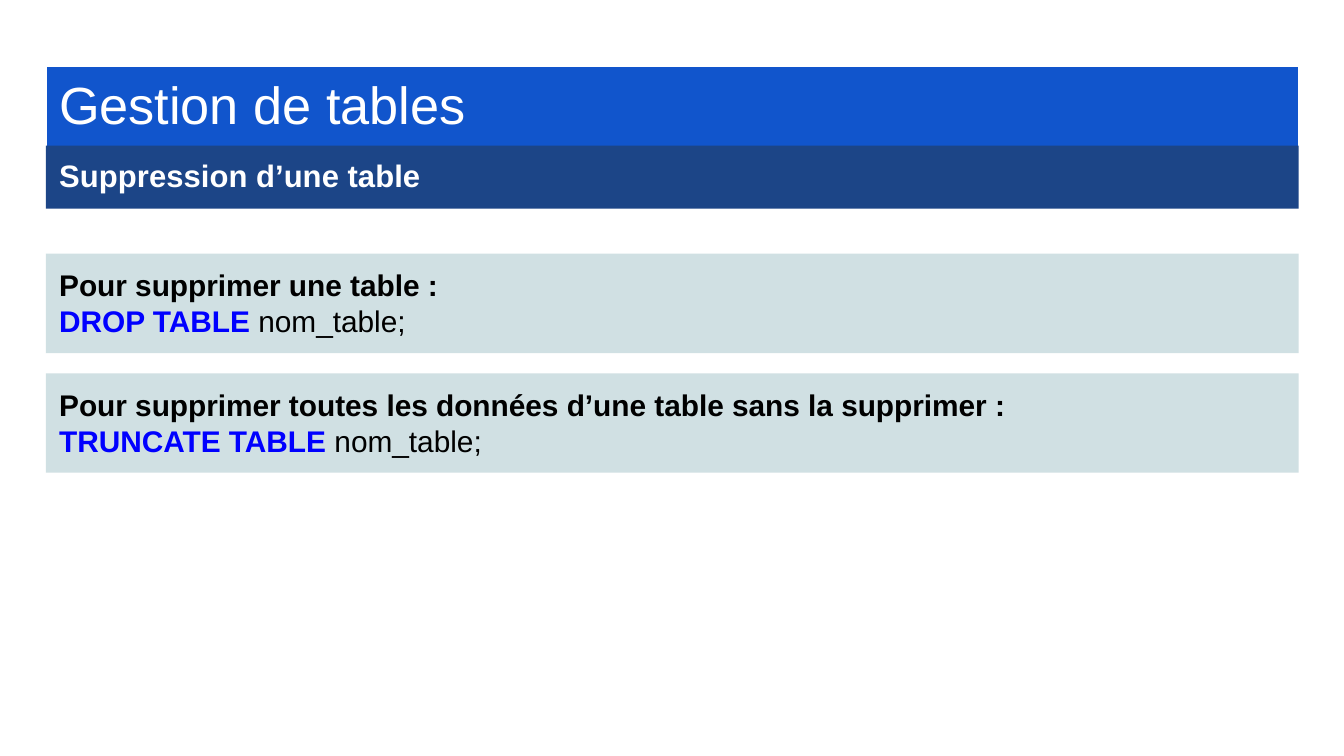
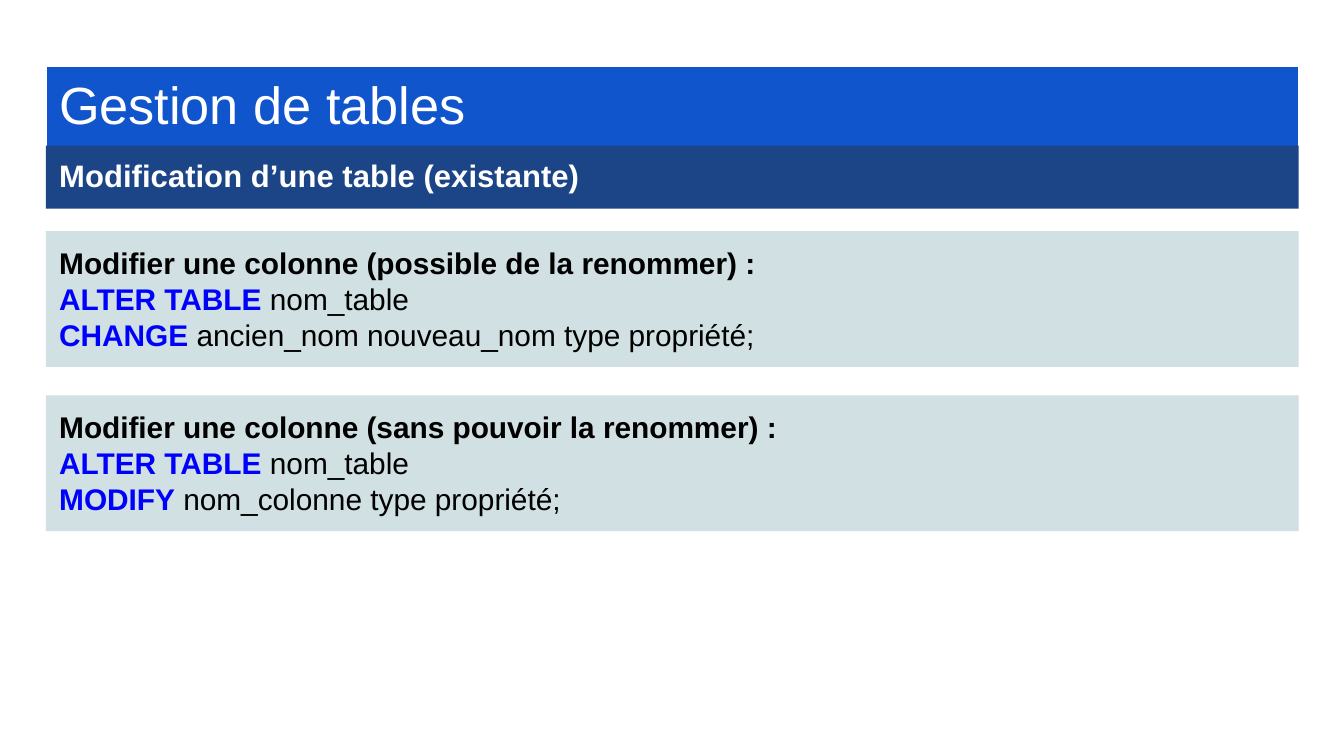
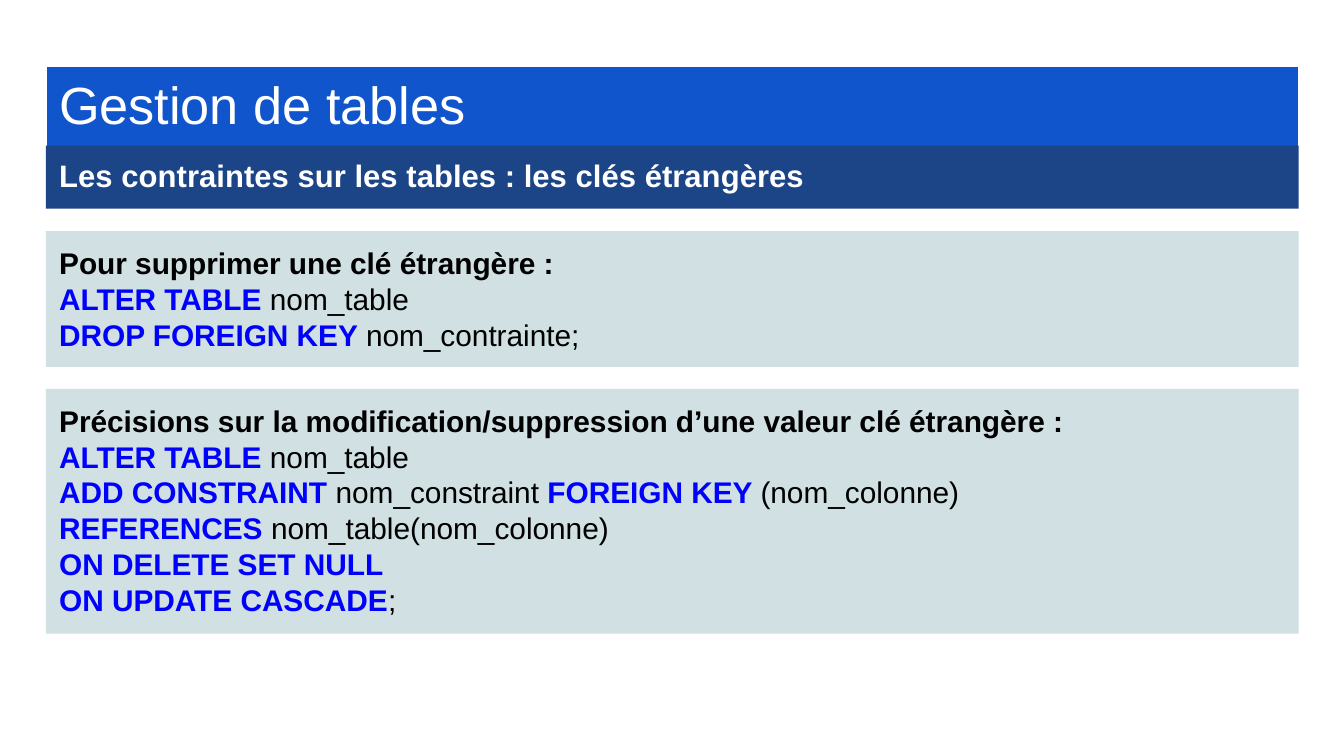
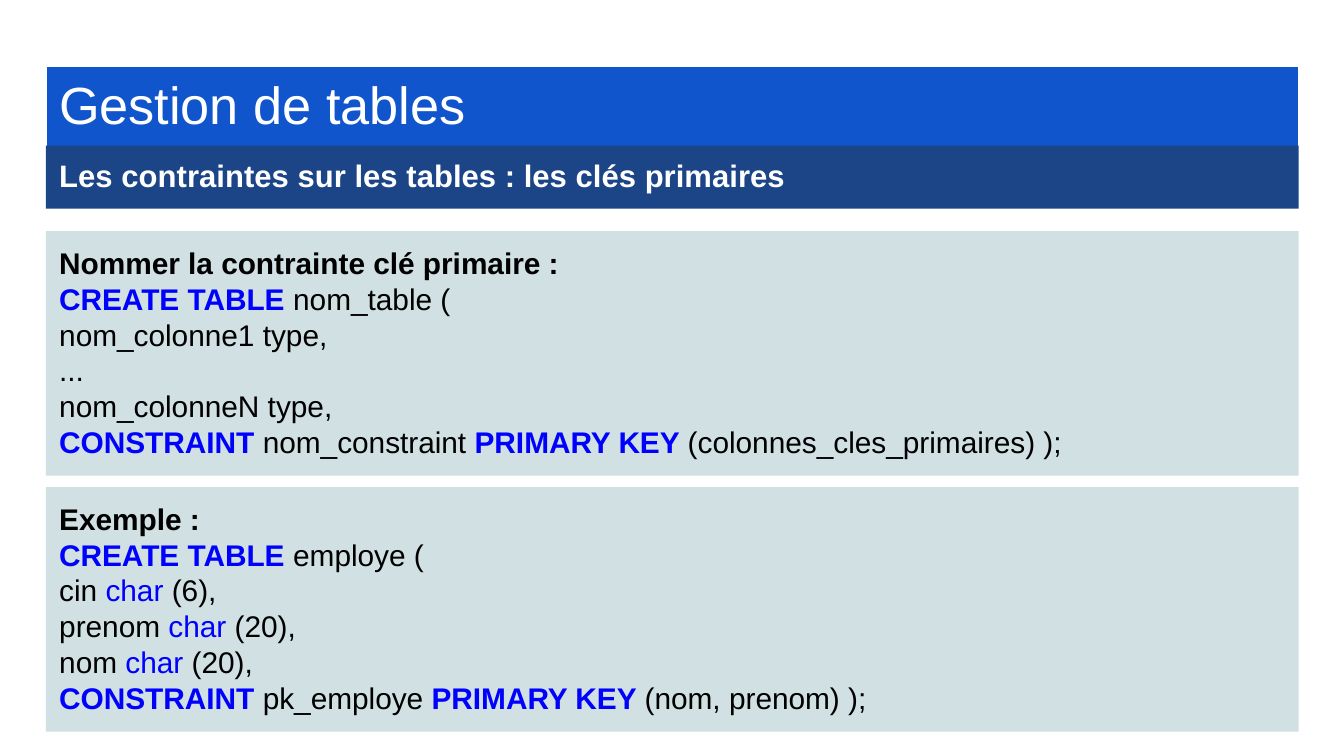
from pptx import Presentation
from pptx.dml.color import RGBColor
from pptx.enum.shapes import MSO_SHAPE
from pptx.enum.text import MSO_ANCHOR, MSO_AUTO_SIZE, PP_ALIGN
from pptx.util import Inches, Pt

RECT = MSO_SHAPE.RECTANGLE
TOP = MSO_ANCHOR.TOP
LEFT = PP_ALIGN.LEFT
GROW = MSO_AUTO_SIZE.SHAPE_TO_FIT_TEXT

HEX = {
    "title": "1155CC",
    "topic": "1C4587",
    "panel": "D0E0E3",
    "white": "FFFFFF",
    "black": "000000",
    "code": "0000FF",
}
TINT = {name: RGBColor.from_string(code) for name, code in HEX.items()}
FONT = "Arial"

# A 16:9 slide on a square grid: 100 columns, rows of the same size
WIDE = Inches(10)
HIGH = WIDE * 9 // 16
UNIT = WIDE / 100
EDGE = 3.42
SPAN = 93.2
PAD = 1
LINE = 2.7

# Each slide: topic, then panels as (top row, lines of text).
# "|" parts a line into runs: capitals are keywords, "char" is a type.
SLIDES = [
    ("Suppression d’une table", [
        (18.88, ["Pour supprimer une table :",
                 "DROP TABLE| nom_table;"]),
        (27.78, ["Pour supprimer toutes les données d’une table sans la supprimer :",
                 "TRUNCATE TABLE |nom_table;"]),
    ]),
    ("Modification d’une table (existante)", [
        (17.2, ["Modifier une colonne (possible de la renommer) :",
                "ALTER TABLE| nom_table",
                "CHANGE| ancien_nom nouveau_nom type propriété;"]),
        (29.42, ["Modifier une colonne (sans pouvoir la renommer) :",
                 "ALTER TABLE| nom_table",
                 "MODIFY| nom_colonne type propriété;"]),
    ]),
    ("Les contraintes sur les tables : les clés étrangères", [
        (17.2, ["Pour supprimer une clé étrangère :",
                "ALTER TABLE |nom_table",
                "DROP FOREIGN KEY |nom_contrainte;"]),
        (28.94, ["Précisions sur la modification/suppression d’une valeur clé étrangère :",
                 "ALTER TABLE |nom_table",
                 "ADD CONSTRAINT |nom_constraint| FOREIGN KEY |(nom_colonne)",
                 "REFERENCES| nom_table(nom_colonne)",
                 "ON DELETE SET NULL",
                 "ON UPDATE CASCADE|;"]),
    ]),
    ("Les contraintes sur les tables : les clés primaires", [
        (17.2, ["Nommer la contrainte clé primaire :",
                "CREATE TABLE |nom_table (",
                "nom_colonne1 type,",
                "...",
                "nom_colonneN type,",
                "CONSTRAINT |nom_constraint| PRIMARY KEY |(colonnes_cles_primaires) );"]),
        (36.24, ["Exemple :",
                 "CREATE TABLE |employe (",
                 "cin |char |(6),",
                 "prenom |char |(20),",
                 "nom |char |(20),",
                 "CONSTRAINT |pk_employe| PRIMARY KEY |(nom, prenom) );"]),
    ]),
]


def add_band(slide, top, high, fill):
    """Add a full-width filled band and return its shape."""
    band = slide.shapes.add_shape(
        RECT, *(round(n * UNIT) for n in (EDGE, top, SPAN, high)))
    band.shadow.inherit = False
    band.fill.solid()
    band.fill.fore_color.rgb = TINT[fill]
    band.line.fill.background()
    frame = band.text_frame
    frame.word_wrap = True
    frame.vertical_anchor = TOP
    frame.margin_left = frame.margin_right = round(PAD * UNIT)
    frame.margin_top = frame.margin_bottom = round(PAD * UNIT)
    return band


def add_run(para, text, size, tint, bold=False):
    """Add a styled run to a left-aligned paragraph."""
    para.alignment = LEFT
    run = para.add_run()
    run.text = text
    run.font.name = FONT
    run.font.size = Pt(size)
    run.font.bold = bold
    run.font.color.rgb = TINT[tint]


deck = Presentation()
deck.slide_width, deck.slide_height = WIDE, HIGH
blank = deck.slide_layouts[6]

for topic, panels in SLIDES:
    slide = deck.slides.add_slide(blank)

    title = add_band(slide, 4.9, 6.3, "title")
    title.line.color.rgb = TINT["white"]
    title.line.width = Pt(0.75)
    para = title.text_frame.paragraphs[0]
    para.line_spacing = 0.9
    add_run(para, "Gestion de tables", 28, "white")

    para = add_band(slide, 10.84, 4.7, "topic").text_frame.paragraphs[0]
    para.line_spacing = 0.95
    para.space_after = Pt(12)
    add_run(para, topic, 16.65, "white", True)

    for top, lines in panels:
        high = 2 * PAD + LINE * len(lines)
        frame = add_band(slide, top, high, "panel").text_frame
        frame.auto_size = GROW
        for row, line in enumerate(lines):
            para = frame.add_paragraph() if row else frame.paragraphs[0]
            for part in line.split("|"):
                key = part.isupper()
                code = key or part.strip() == "char"
                add_run(para, part, 16, "code" if code else "black",
                        key or row == 0)

deck.save("out.pptx")
